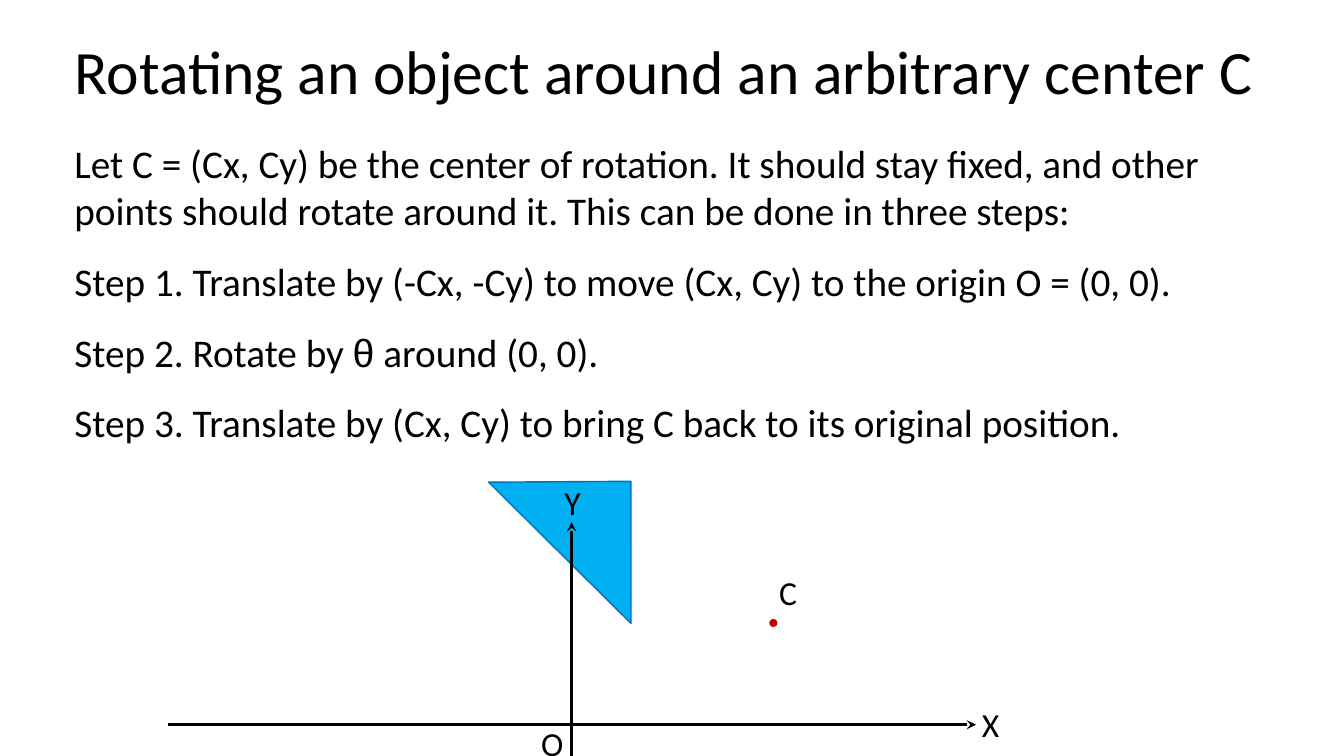
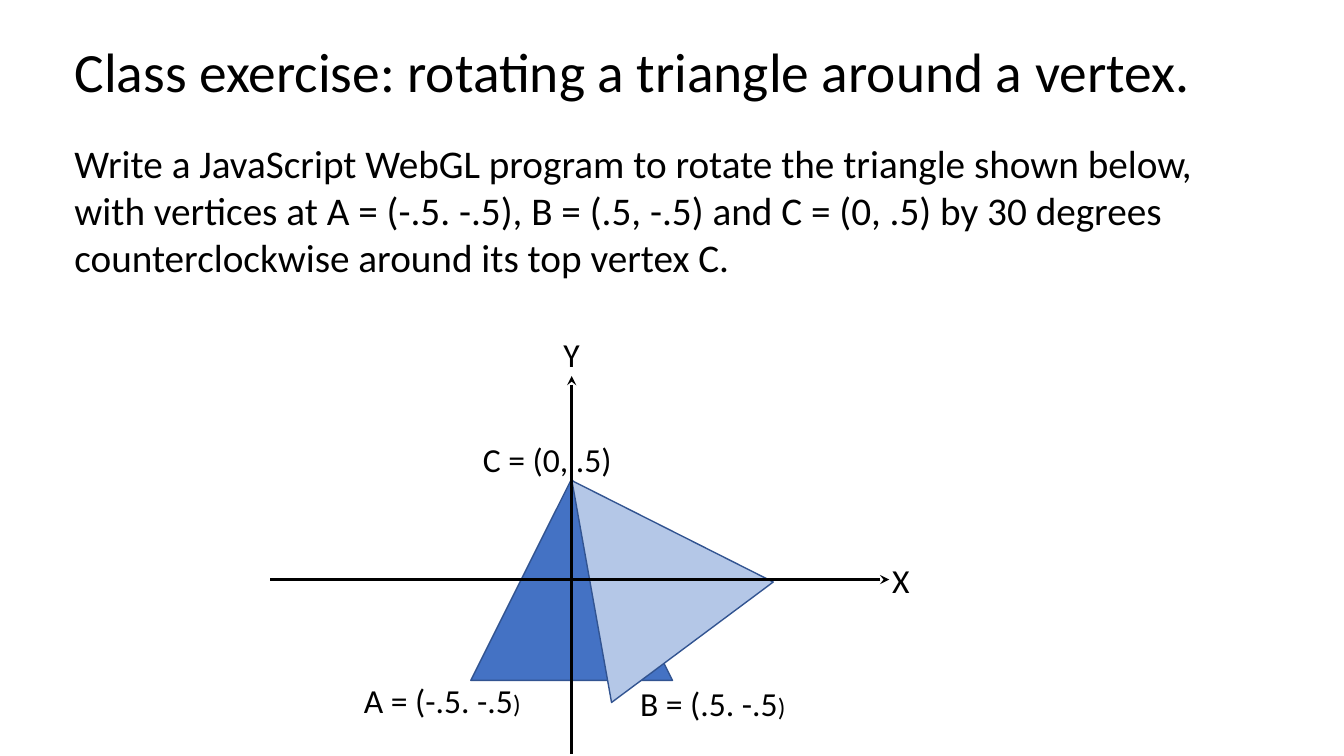
import dataclasses

import lxml.etree
import pptx
import pptx.dml.color
import pptx.enum.shapes
import pptx.enum.text
import pptx.oxml.ns
import pptx.util

Inches = pptx.util.Inches
SHAPES = pptx.enum.shapes.MSO_SHAPE
TEXT = pptx.enum.text


@dataclasses.dataclass(frozen=True)
class Theme:
    font: str = "Calibri"
    symbol_font: str = "Arial"
    ink: str = "000000"
    title_size: float = 44
    long_title_size: float = 39.6
    body_size: float = 28
    label_size: float = 24
    small_size: float = 18
    body_gap: float = 17
    axis_width: float = 2.25
    outline_width: float = 1
    sky: str = "00B0F0"
    sky_edge: str = "0070C0"
    blue: str = "4472C4"
    pale_blue: str = "B4C7E7"
    blue_edge: str = "325491"
    red: str = "C00000"


theme = Theme()
SLIDE_SIZE = (13.33, 7.5)
TITLE_BOX = (0.64, 0.14, 12.09, 1.19)
BODY_BOX = (0.64, 1.33, 11.5, 5.66)
LABEL_HEIGHT = 0.5
Y_AXIS_AT = 5.67

# Content: a paragraph is a list of (text, run format) pairs.
# Shapes: kind, box, rotation, fill, edge. Labels: left, top, width, runs.
# Axes: tip, then far end.
SLIDES = [
    {
        "title": "Rotating an object around an arbitrary center C",
        "title_size": theme.title_size,
        "body": [
            [("Let C = (Cx, Cy) be the center of rotation. It should stay fixed, "
              "and other points should rotate around it. This can be done in "
              "three steps:", {})],
            [("Step 1. Translate by (-Cx, -Cy) to move (Cx, Cy) to the origin "
              "O = (0, 0).", {})],
            [("Step 2. Rotate by ", {}), ("θ", {"font": theme.symbol_font}),
             (" around (0, 0).", {})],
            [("Step 3. Translate by (Cx, Cy) to bring C back to its original "
              "position.", {})],
        ],
        "shapes": [
            (SHAPES.ISOSCELES_TRIANGLE, (4.91, 4.63, 1.99, 1), 44.8,
             theme.sky, theme.sky_edge),
            (SHAPES.OVAL, (7.63, 6.14, 0.08, 0.08), 0, theme.red, None),
        ],
        "axes": [((9.68, 7.19), (1.67, 7.19)),
                 ((Y_AXIS_AT, 5.18), (Y_AXIS_AT, 7.5))],
        "labels": [
            (7.63, 5.62, 1, [("C", {})]),
            (5.5, 4.73, 1, [("Y", {})]),
            (9.64, 6.93, 1, [("X", {})]),
            (5.27, 7.12, 1, [("O", {})]),
        ],
    },
    {
        "title": "Class exercise: rotating a triangle around a vertex.",
        "title_size": theme.long_title_size,
        "body": [
            [("Write a JavaScript WebGL program to rotate the triangle shown "
              "below, with vertices at A = (-.5. -.5), B = (.5, -.5) and "
              "C = (0, .5) by 30 degrees counterclockwise around its top "
              "vertex C.", {})],
        ],
        "shapes": [
            (SHAPES.ISOSCELES_TRIANGLE, (4.67, 4.75, 2, 2), 0,
             theme.blue, theme.blue_edge),
            (SHAPES.ISOSCELES_TRIANGLE, (5.27, 4.57, 2, 2), 323.3,
             theme.pale_blue, theme.blue_edge),
        ],
        "axes": [((8.82, 5.75), (2.68, 5.75)),
                 ((Y_AXIS_AT, 3.73), (Y_AXIS_AT, 7.48))],
        "labels": [
            (4.69, 4.31, 1.49, [("C = (0, .5)", {})]),
            (5.49, 3.26, 1, [("Y", {})]),
            (8.75, 5.51, 1, [("X", {})]),
            (3.51, 6.7, 2.07, [("A = (-.5. -.5", {}),
                               (")", {"size": theme.small_size})]),
            (6.25, 6.73, 2.07, [("B = (.5. -.5", {}),
                                (")", {"size": theme.small_size})]),
        ],
    },
]


def color(value):
    return pptx.dml.color.RGBColor.from_string(value)


def write(frame, paragraphs, size, gap=0, line_spacing=1.0,
          anchor=TEXT.MSO_ANCHOR.TOP, fit=TEXT.MSO_AUTO_SIZE.NONE):
    """Fill a text frame with paragraphs of formatted runs."""
    frame.word_wrap = True
    frame.auto_size = fit
    frame.vertical_anchor = anchor
    for index, runs in enumerate(paragraphs):
        para = frame.add_paragraph() if index else frame.paragraphs[0]
        para.alignment = TEXT.PP_ALIGN.LEFT
        para.line_spacing = line_spacing
        para.space_after = pptx.util.Pt(gap)
        for text, style in runs:
            span = para.add_run()
            span.text = text
            span.font.name = style.get("font", theme.font)
            span.font.size = pptx.util.Pt(style.get("size", size))
            span.font.color.rgb = color(theme.ink)


def add_title(page, text, size):
    title = page.shapes.title
    title.left, title.top, title.width, title.height = map(Inches, TITLE_BOX)
    write(title.text_frame, [[(text, {})]], size, line_spacing=0.9,
          anchor=TEXT.MSO_ANCHOR.MIDDLE)


def add_figure(page, kind, place, rotation, fill, edge):
    figure = page.shapes.add_shape(kind, *map(Inches, place))
    figure.shadow.inherit = False
    figure.rotation = rotation
    figure.fill.solid()
    figure.fill.fore_color.rgb = color(fill)
    if edge:
        figure.line.color.rgb = color(edge)
        figure.line.width = pptx.util.Pt(theme.outline_width)
    else:
        figure.line.fill.background()


def add_axis(page, tip, end):
    axis = page.shapes.add_connector(
        pptx.enum.shapes.MSO_CONNECTOR.STRAIGHT, *map(Inches, tip + end))
    axis.line.color.rgb = color(theme.ink)
    axis.line.width = pptx.util.Pt(theme.axis_width)
    properties = axis.element.spPr
    qn = pptx.oxml.ns.qn
    lxml.etree.SubElement(properties.find(qn("a:ln")), qn("a:headEnd"),
                          type="stealth")
    lxml.etree.SubElement(properties, qn("a:effectLst"))


def add_label(page, left, top, width, runs):
    box = page.shapes.add_textbox(
        *map(Inches, (left, top, width, LABEL_HEIGHT)))
    write(box.text_frame, [runs], theme.label_size,
          fit=TEXT.MSO_AUTO_SIZE.SHAPE_TO_FIT_TEXT)


deck = pptx.Presentation()
deck.slide_width, deck.slide_height = map(Inches, SLIDE_SIZE)
title_only = deck.slide_layouts[5]

for content in SLIDES:
    page = deck.slides.add_slide(title_only)

    # Title and explanation
    add_title(page, content["title"], content["title_size"])
    body = page.shapes.add_textbox(*map(Inches, BODY_BOX))
    write(body.text_frame, content["body"], theme.body_size,
          gap=theme.body_gap)

    # Diagram
    for figure in content["shapes"]:
        add_figure(page, *figure)
    for axis in content["axes"]:
        add_axis(page, *axis)
    for label in content["labels"]:
        add_label(page, *label)

deck.save("out.pptx")
